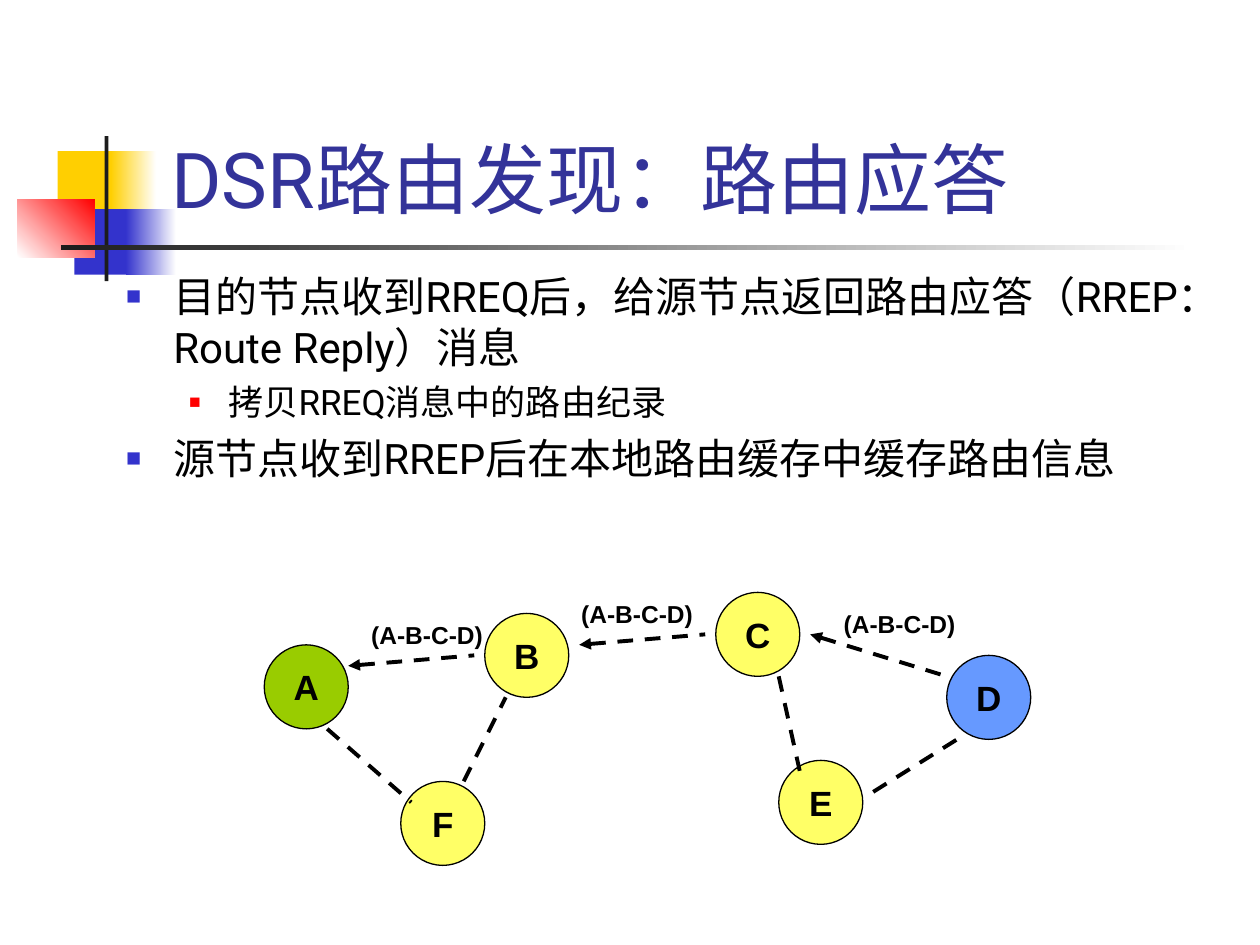
from lxml import etree
from pptx import Presentation
from pptx.dml.color import RGBColor
from pptx.enum.dml import MSO_LINE
from pptx.enum.shapes import MSO_CONNECTOR, MSO_SHAPE
from pptx.enum.text import MSO_ANCHOR, MSO_AUTO_SIZE, PP_ALIGN
from pptx.oxml.ns import qn
from pptx.util import Pt

RECTANGLE, OVAL = MSO_SHAPE.RECTANGLE, MSO_SHAPE.OVAL
STRAIGHT, DASH = MSO_CONNECTOR.STRAIGHT, MSO_LINE.DASH
BOTTOM, MIDDLE = MSO_ANCHOR.BOTTOM, MSO_ANCHOR.MIDDLE
LEFT, CENTER = PP_ALIGN.LEFT, PP_ALIGN.CENTER
NO_FIT = MSO_AUTO_SIZE.NONE

BLACK, WHITE, YELLOW = "000000", "FFFFFF", "FFFF66"

TITLE = "DSR路由发现：路由应答"
BULLETS = [
    (0, "目的节点收到RREQ后，给源节点返回路由应答（RREP：Route Reply）消息"),
    (1, "拷贝RREQ消息中的路由纪录"),
    (0, "源节点收到RREP后在本地路由缓存中缓存路由信息"),
]
LEVELS = [
    {"size": 24, "margin": 27, "hang": 27, "before": 6, "color": "3333CC", "scale": 60},
    {"size": 20, "margin": 58.5, "hang": 22.5, "before": 5, "color": "FF0000", "scale": 55},
]
DECORATION = [
    ((33, 86.4, 34.6, 37.4), ["FFCF01"], 0),
    ((63.4, 86.4, 25.9, 37.4), ["FFCF01", WHITE], 0),
    ((42.5, 119.5, 33.1, 37.4), ["3333CC"], 0),
    ((72, 119.5, 28.8, 37.4), ["3333CC", WHITE], 0),
    ((10.1, 113.8, 43.9, 33.1), [WHITE, "FF0000"], 45),
    ((59.8, 77.8, 2.2, 82.8), ["1C1C1C"], 0),
    ((34.6, 140.2, 648, 2.5), ["1C1C1C", WHITE], 0),
]
NODE_SIZE = 48
NODES = [
    ("A", 151, 368.5, "99CC00"),
    ("B", 277, 350.5, YELLOW),
    ("C", 409, 338.5, YELLOW),
    ("D", 541, 374.5, "6699FF"),
    ("E", 445, 434.5, YELLOW),
    ("F", 229, 446.5, YELLOW),
]
LINKS = [
    ((187, 416.5), (235, 458.5)),
    ((265, 446.5), (289, 398.5)),
    ((445, 386.5), (457, 440.5)),
    ((499, 452.5), (547, 422.5)),
]
REPLIES = [
    ((199, 380.5), (271, 374.5)),
    ((331, 368.5), (403, 362.5)),
    ((463, 362.5), (541, 386.5)),
]
ROUTE = "(A-B-C-D)"
ROUTE_POSITIONS = [(205, 350.5), (325, 338.5), (475, 344.5)]


def rgb(value):
    return RGBColor.from_string(value)


def place(shape, *frame):
    shape.left, shape.top, shape.width, shape.height = map(Pt, frame)


def style(paragraph, font_name, size, color, bold=False):
    for span in paragraph.runs:
        span.font.name, span.font.size, span.font.bold = font_name, Pt(size), bold
        span.font.color.rgb = rgb(color)


def add_plain_shape(page, kind, frame, colors, angle=0):
    shape = page.shapes.add_shape(kind, *map(Pt, frame))
    shape.shadow.inherit = False
    if len(colors) == 1:
        shape.fill.solid()
        shape.fill.fore_color.rgb = rgb(colors[0])
    else:
        shape.fill.gradient()
        shape.fill.gradient_angle = angle
        for stop, color in zip(shape.fill.gradient_stops, colors):
            stop.color.rgb = rgb(color)
    shape.line.fill.background()
    return shape


def add_node(page, name, left, top, color):
    node = add_plain_shape(page, OVAL, (left, top, NODE_SIZE, NODE_SIZE), [color])
    node.line.color.rgb = rgb(BLACK)
    node.line.width = Pt(0.75)
    frame = node.text_frame
    frame.text = name
    frame.word_wrap = False
    frame.vertical_anchor = MIDDLE
    frame.paragraphs[0].alignment = CENTER
    style(frame.paragraphs[0], "Arial", 20, BLACK, True)


def add_link(page, start, end, arrow=False):
    link = page.shapes.add_connector(STRAIGHT, *map(Pt, start + end))
    link.line.color.rgb = rgb(BLACK)
    link.line.width = Pt(2.25)
    link.line.dash_style = DASH
    properties = link._element.spPr
    if arrow:
        etree.SubElement(properties.find(qn("a:ln")), qn("a:headEnd"), type="triangle")
    etree.SubElement(properties, qn("a:effectLst"))


def add_route(page, left, top):
    box = page.shapes.add_textbox(*map(Pt, (left, top, 84, 24.5)))
    box.text_frame.word_wrap = True
    box.text_frame.text = ROUTE
    style(box.text_frame.paragraphs[0], "Arial", 14, BLACK, True)


def set_bullet(paragraph, level):
    properties = paragraph._element.get_or_add_pPr()
    properties.set("marL", str(Pt(level["margin"])))
    properties.set("indent", str(-Pt(level["hang"])))
    color = etree.SubElement(properties, qn("a:buClr"))
    etree.SubElement(color, qn("a:srgbClr"), val=level["color"])
    etree.SubElement(properties, qn("a:buSzPct"), val=str(level["scale"] * 1000))
    etree.SubElement(properties, qn("a:buChar"), char="■")


def fill_title(title):
    place(title, 90.7, 16.6, 613.4, 115.2)
    frame = title.text_frame
    frame.text = TITLE
    frame.auto_size = NO_FIT
    frame.vertical_anchor = BOTTOM
    frame.paragraphs[0].alignment = LEFT
    style(frame.paragraphs[0], "Roboto", 44, "333399")


def fill_body(body):
    place(body, 64.8, 151.2, 640, 158.4)
    frame = body.text_frame
    frame.text = "\n".join(text for _, text in BULLETS)
    frame.auto_size = NO_FIT
    for index, (para, (depth, _)) in enumerate(zip(frame.paragraphs, BULLETS)):
        level = LEVELS[depth]
        para.level = depth
        set_bullet(para, level)
        para.space_before = Pt(level["before"] if index else 0)
        style(para, "Roboto", level["size"], BLACK)


def main():
    deck = Presentation()
    deck.slide_width, deck.slide_height = Pt(720), Pt(540)
    page = deck.slides.add_slide(deck.slide_layouts[1])
    title, body = page.placeholders
    for frame, colors, angle in DECORATION:
        add_plain_shape(page, RECTANGLE, frame, colors, angle)
    for placeholder in (title, body):
        placeholder._element.getparent().append(placeholder._element)
    fill_title(title)
    fill_body(body)
    for node in NODES:
        add_node(page, *node)
    for start, end in LINKS:
        add_link(page, start, end)
    for start, end in REPLIES:
        add_link(page, start, end, arrow=True)
    for position in ROUTE_POSITIONS:
        add_route(page, *position)
    deck.save("out.pptx")


if __name__ == "__main__":
    main()
